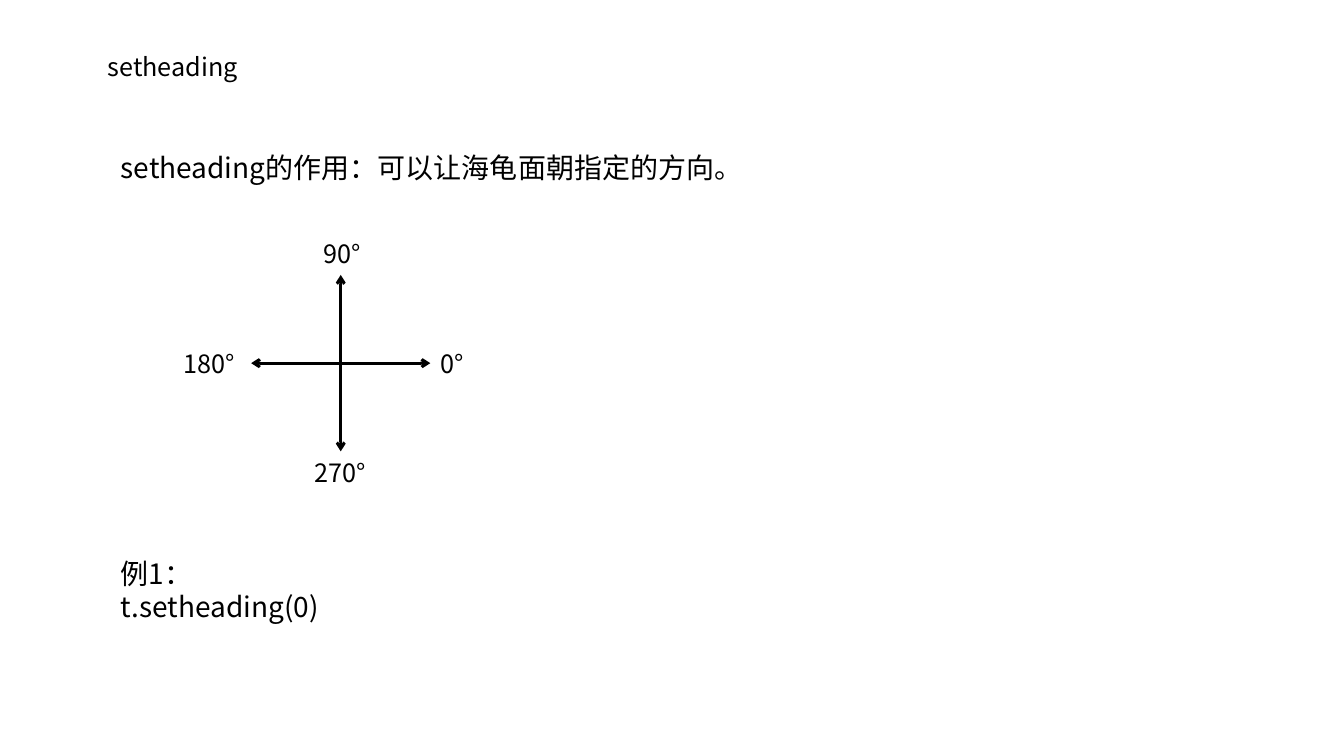
from lxml.etree import SubElement
from pptx import Presentation
from pptx.dml.color import RGBColor
from pptx.enum.shapes import MSO_CONNECTOR as Connector
from pptx.enum.text import MSO_AUTO_SIZE as AutoSize
from pptx.oxml.ns import qn
from pptx.util import Pt

BLACK = RGBColor(0x00, 0x00, 0x00)
WHITE = RGBColor(0xFF, 0xFF, 0xFF)
FONT = "Noto Sans CJK SC"

# Compass geometry in points
CENTER_X, CENTER_Y = 243.4, 259.4
REACH_X, REACH_Y = 64, 63
LABEL_HEIGHT = 29

# Heading label, left, top, width
HEADINGS = [
    ("90°", 223.9, 167, 43),
    ("0°", 307.4, 245, 32.4),
    ("270°", 217.4, 323.3, 54),
    ("180°", 123.8, 245, 54),
]


def add_text(shapes, text, left, top, width, height, size=18, wrap=False):
    """Add a text box; a vertical tab in the text is a line break."""
    box = shapes.add_textbox(Pt(left), Pt(top), Pt(width), Pt(height))
    frame = box.text_frame
    frame.word_wrap = wrap
    frame.auto_size = AutoSize.SHAPE_TO_FIT_TEXT
    paragraph = frame.paragraphs[0]
    paragraph.text = text
    for run in paragraph.runs:
        run.font.size = Pt(size)
        run.font.name = FONT
        run.font.color.rgb = BLACK
        # East Asian typeface
        SubElement(run.font._element, qn("a:ea"), typeface=FONT)


def add_axis(shapes, reach_x, reach_y):
    """Add a double-headed arrow through the compass centre."""
    axis = shapes.add_connector(
        Connector.STRAIGHT,
        Pt(CENTER_X - reach_x), Pt(CENTER_Y - reach_y),
        Pt(CENTER_X + reach_x), Pt(CENTER_Y + reach_y),
    )
    axis.line.color.rgb = BLACK
    axis.line.width = Pt(2)
    outline = axis.line._get_or_add_ln()
    for end in ("a:headEnd", "a:tailEnd"):
        SubElement(outline, qn(end), type="arrow")
    SubElement(axis._element.spPr, qn("a:effectLst"))


def add_compass(slide):
    compass = slide.shapes.add_group_shape().shapes
    add_axis(compass, REACH_X, 0)
    add_axis(compass, 0, REACH_Y)
    for label, left, top, width in HEADINGS:
        add_text(compass, label, left, top, width, LABEL_HEIGHT)


def main():
    deck = Presentation()
    deck.slide_width, deck.slide_height = Pt(960), Pt(540)
    slide = deck.slides.add_slide(deck.slide_layouts[6])
    slide.background.fill.solid()
    slide.background.fill.fore_color.rgb = WHITE

    # Title and explanation
    add_text(slide.shapes, "setheading", 69.8, 33.1, 293.8, 29, wrap=True)
    add_text(slide.shapes, "setheading的作用：可以让海龟面朝指定的方向。",
             79.2, 103.7, 465, 31.5, size=20)

    # Directions
    add_compass(slide)

    # Example
    add_text(slide.shapes, "例1：\vt.setheading(0)", 79.2, 393.8, 220.3, 31.5, size=20, wrap=True)

    deck.save("out.pptx")


if __name__ == "__main__":
    main()
